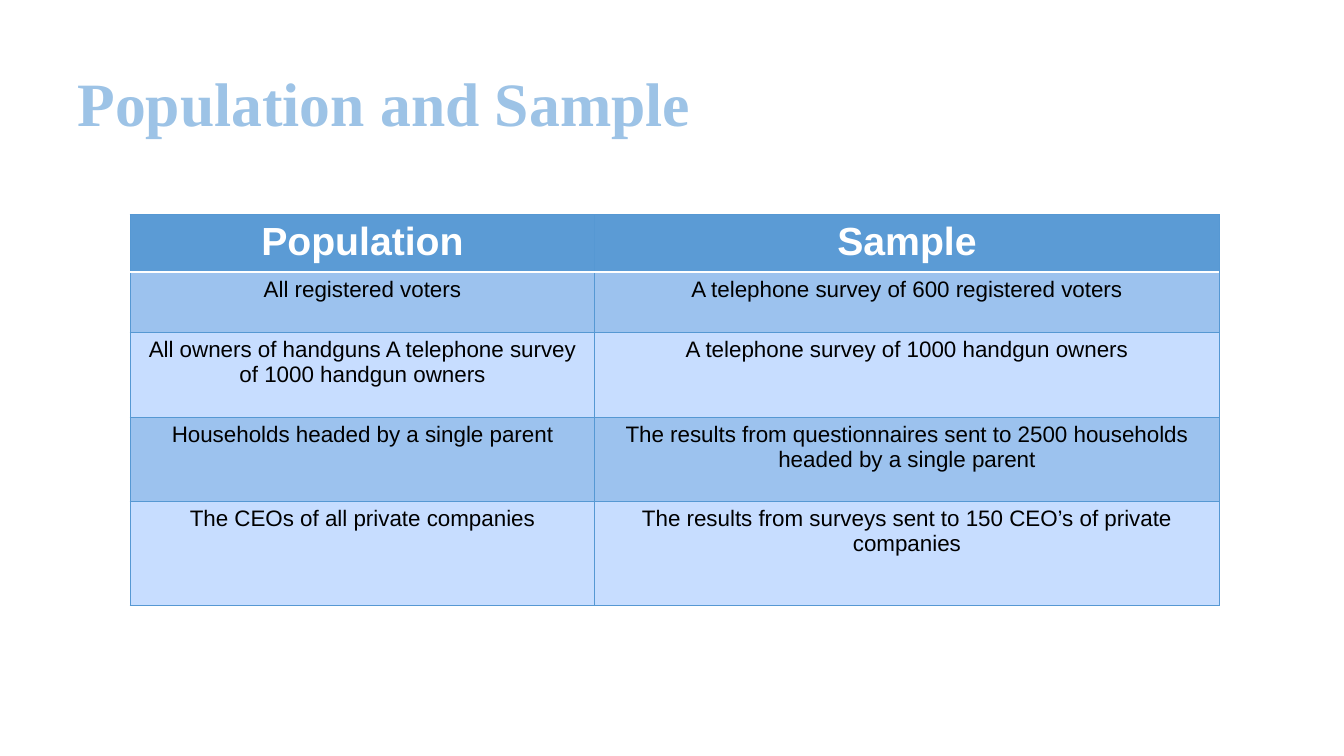
from typing import NamedTuple

from lxml.etree import SubElement
from pptx import Presentation
from pptx.dml.color import RGBColor
from pptx.enum.text import MSO_ANCHOR, PP_ALIGN
from pptx.oxml.ns import qn
from pptx.util import Inches, Pt

COLORS = {
    "title": "9DC3E6",
    "header": "5B9BD5",
    "dark_band": "9CC2EE",
    "light_band": "C7DDFF",
    "border": "5698D3",
    "white": "FFFFFF",
    "black": "000000",
}


class Style(NamedTuple):
    font: str
    size: float
    color: str
    bold: bool


class Example(NamedTuple):
    population: str
    sample: str
    height: float


TITLE_STYLE = Style("Times New Roman", 44, "title", True)
HEADER_STYLE = Style("Arial", 28, "white", True)
BODY_STYLE = Style("Arial", 16, "black", False)

COLUMN_WIDTHS = (4.61, 6.19)
EXAMPLES = [
    Example("Population", "Sample", 0.54),
    Example("All registered voters", "A telephone survey of 600 registered voters", 0.6),
    Example("All owners of handguns A telephone survey of 1000 handgun owners",
            "A telephone survey of 1000 handgun owners", 0.84),
    Example("Households headed by a single parent",
            "The results from questionnaires sent to 2500 households headed by a single parent",
            0.84),
    Example("The CEOs of all private companies",
            "The results from surveys sent to 150 CEO’s of private companies", 1.03),
]


def format_text(paragraph, style: Style) -> None:
    for run in paragraph.runs:
        run.font.name = style.font
        run.font.size = Pt(style.size)
        run.font.bold = style.bold
        run.font.color.rgb = RGBColor.from_string(COLORS[style.color])


def add_border(cell, side: str, color: str, width: float) -> None:
    line = SubElement(cell._tc.get_or_add_tcPr(), qn(f"a:ln{side}"), w=str(Pt(width)))
    fill = SubElement(line, qn("a:solidFill"))
    SubElement(fill, qn("a:srgbClr"), val=COLORS[color])


def fill_cell(cell, text: str, row: int) -> None:
    # Borders come before the fill in the cell properties
    for side in "LRTB":
        under_header = (row, side) in ((0, "B"), (1, "T"))
        color, width = ("white", 2) if under_header else ("border", 0.75)
        add_border(cell, side, color, width)
    band = "header" if row == 0 else "dark_band" if row % 2 else "light_band"
    cell.fill.solid()
    cell.fill.fore_color.rgb = RGBColor.from_string(COLORS[band])
    paragraph = cell.text_frame.paragraphs[0]
    paragraph.text = text
    paragraph.alignment = PP_ALIGN.CENTER
    format_text(paragraph, BODY_STYLE if row else HEADER_STYLE)


def add_title(slide, text: str) -> None:
    frame = slide.shapes.add_textbox(
        Inches(0.67), Inches(0.29), Inches(12), Inches(1.53)).text_frame
    frame.word_wrap = True
    frame.vertical_anchor = MSO_ANCHOR.MIDDLE
    heading = frame.paragraphs[0]
    heading.text = text
    heading.line_spacing = 0.9
    format_text(heading, TITLE_STYLE)


def add_examples(slide, examples: list[Example]) -> None:
    height = sum(example.height for example in examples)
    table = slide.shapes.add_table(
        len(examples), len(COLUMN_WIDTHS), Inches(1.29), Inches(2.13),
        Inches(sum(COLUMN_WIDTHS)), Inches(height)).table
    for column, width in zip(table.columns, COLUMN_WIDTHS):
        column.width = Inches(width)
    for row, example in enumerate(examples):
        table.rows[row].height = Inches(example.height)
        fill_cell(table.cell(row, 0), example.population, row)
        fill_cell(table.cell(row, 1), example.sample, row)


def main() -> None:
    presentation = Presentation()
    presentation.slide_width = Inches(13.33)
    presentation.slide_height = Inches(7.5)
    slide = presentation.slides.add_slide(presentation.slide_layouts[6])
    add_title(slide, "Population and Sample")
    add_examples(slide, EXAMPLES)
    presentation.save("out.pptx")


if __name__ == "__main__":
    main()
